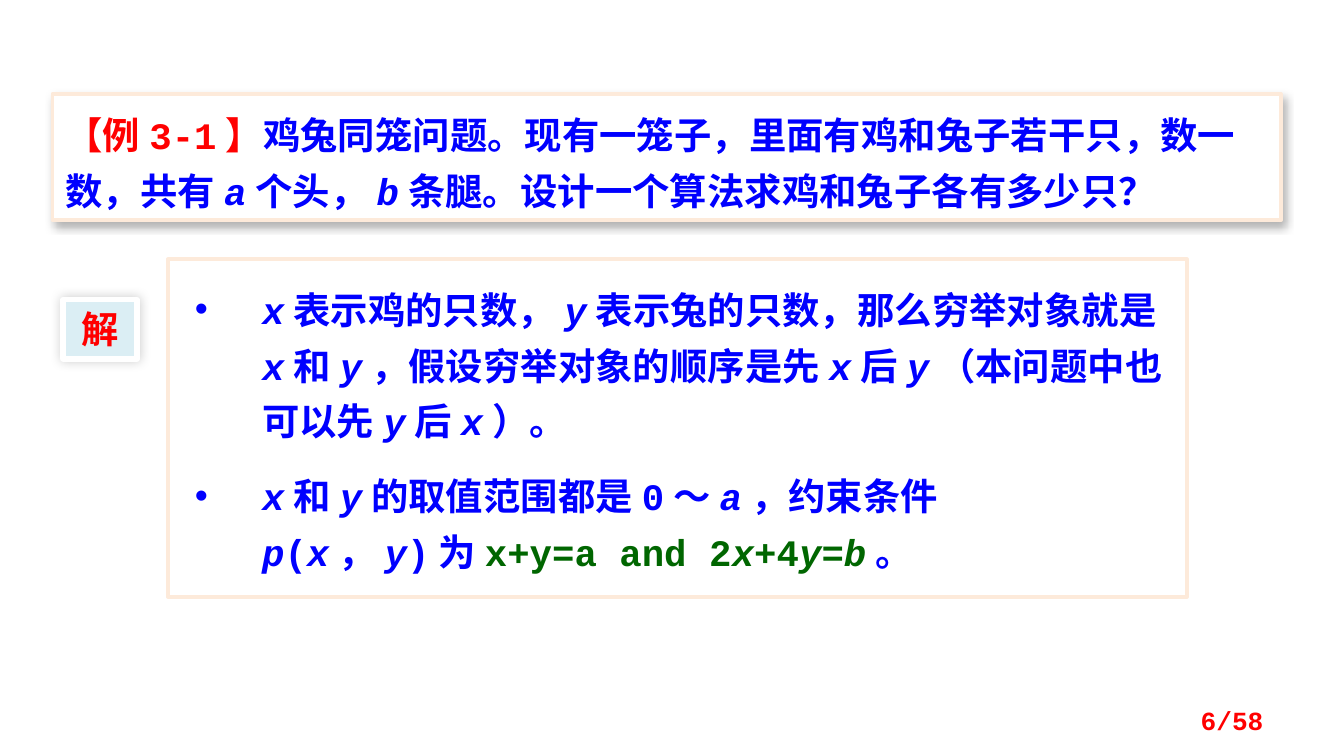
from lxml.etree import SubElement
from pptx import Presentation
from pptx.dml.color import RGBColor
from pptx.enum.shapes import MSO_SHAPE as Shape
from pptx.enum.text import MSO_ANCHOR as Anchor, PP_ALIGN as Align
from pptx.oxml.ns import qn
from pptx.util import Inches, Pt

COLORS = {
    "white": "FFFFFF", "black": "000000", "peach": "FDEADA",
    "ice": "DBEEF4", "red": "FF0000", "blue": "0000FF", "green": "006600",
}
MONO = "Courier New"
HAN = "Noto Sans CJK SC"


def color(name):
    return RGBColor.from_string(COLORS[name])


def add_shadow(box, alpha, blur, distance, angle):
    """Give the box a soft outer shadow; alpha in percent, angle in degrees."""
    effects = box._element.spPr.find(qn("a:effectLst"))
    shadow = SubElement(effects, qn("a:outerShdw"), blurRad=str(Pt(blur)),
                        dist=str(Pt(distance)), dir=str(angle * 60000),
                        algn="ctr", rotWithShape="0")
    tint = SubElement(shadow, qn("a:srgbClr"), val=COLORS["black"])
    SubElement(tint, qn("a:alpha"), val=str(alpha * 1000))


def add_panel(page, left, top, width, height, fill="white", line="peach",
              weight=2, shadow=None, insets=(0.1, 0.05)):
    """Draw a framed rectangle that holds text from its top edge."""
    box = page.shapes.add_shape(Shape.RECTANGLE, Inches(left), Inches(top),
                                Inches(width), Inches(height))
    box.fill.solid()
    box.fill.fore_color.rgb = color(fill)
    box.line.color.rgb = color(line)
    box.line.width = Pt(weight)
    box.shadow.inherit = False
    if shadow:
        add_shadow(box, *shadow)
    frame = box.text_frame
    frame.word_wrap = True
    frame.vertical_anchor = Anchor.TOP
    frame.margin_left, frame.margin_right = Inches(insets[0]), Inches(0.1)
    frame.margin_top = frame.margin_bottom = Inches(insets[1])
    return box


def add_text(para, text, size=20, tint="blue", font=MONO, align=Align.LEFT):
    """Add bold text; parts between asterisks are italic, \\n breaks a line."""
    para.alignment = align
    for index, part in enumerate(text.split("*")):
        for row, words in enumerate(part.split("\n")):
            if row:
                para.add_line_break()
            if not words:
                continue
            span = para.add_run()
            span.text = words
            span.font.size = Pt(size)
            span.font.bold = True
            span.font.italic = index % 2 == 1
            span.font.color.rgb = color(tint)
            span.font.name = font
            SubElement(span.font._element, qn("a:ea"), typeface=HAN)


def add_bullet(para):
    """Set a hanging bullet and the gap above the paragraph."""
    para.space_before = Pt(10)
    props = para._p.get_or_add_pPr()
    props.set("marL", str(Inches(0.5)))
    props.set("indent", str(-Inches(0.5)))
    SubElement(props, qn("a:buFont"), typeface="Arial")
    SubElement(props, qn("a:buChar"), char="•")


def main():
    # Widescreen page, 16 to 9
    deck = Presentation()
    deck.slide_width = Inches(10)
    deck.slide_height = Inches(10 * 9 / 16)
    page = deck.slides.add_slide(deck.slide_layouts[6])

    # Problem statement
    problem = add_panel(page, 0.39, 0.7, 9.14, 0.94, shadow=(30, 4.5, 2.6, 53))
    para = problem.text_frame.paragraphs[0]
    para.line_spacing = Pt(30)
    add_text(para, "【例3-1】", tint="red")
    add_text(para, "鸡兔同笼问题。现有一笼子，里面有鸡和兔子若干只，数一数，共有"
                   "*a*个头，*b*条腿。设计一个算法求鸡和兔子各有多少只？")

    # Solution label
    label = add_panel(page, 0.47, 2.23, 0.55, 0.44, fill="ice", line="white",
                      weight=3, shadow=(20, 6, 0, 225))
    add_text(label.text_frame.paragraphs[0], "解", tint="red", font=HAN,
             align=Align.CENTER)

    # Solution: each bullet is a list of (text, colour)
    bullets = [
        [("*x*表示鸡的只数，*y*表示兔的只数，那么穷举对象就是*x*和*y*，"
          "假设穷举对象的顺序是先*x*后*y*（本问题中也可以先*y*后*x*）。", "blue")],
        [("*x*和*y*的取值范围都是0～*a*，约束条件\n*p*(*x*，*y*)为", "blue"),
         ("x+y=a and 2*x*+4*y*=*b*", "green"), ("。", "blue")],
    ]
    solution = add_panel(page, 1.25, 1.93, 7.58, 2.51, insets=(0.2, 0.12))
    frame = solution.text_frame
    for index, parts in enumerate(bullets):
        para = frame.add_paragraph() if index else frame.paragraphs[0]
        para.line_spacing = Pt(30)
        add_bullet(para)
        for text, tint in parts:
            add_text(para, text, tint=tint)

    # Page number
    number = page.shapes.add_textbox(Inches(7.17), Inches(5.21),
                                     Inches(2.33), Inches(0.3))
    number.text_frame.word_wrap = True
    number.text_frame.vertical_anchor = Anchor.MIDDLE
    add_text(number.text_frame.paragraphs[0], "6/58", size=14, tint="red",
             align=Align.RIGHT)

    deck.save("out.pptx")


if __name__ == "__main__":
    main()
